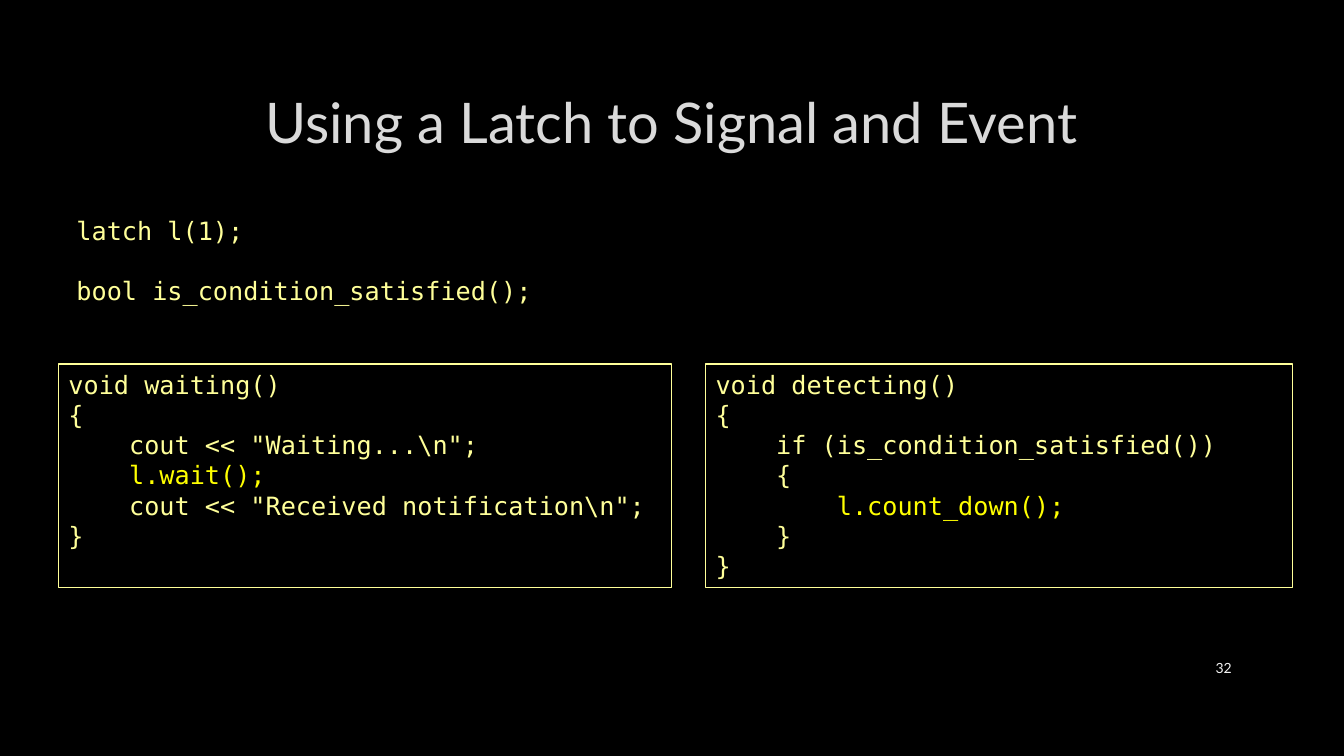
from dataclasses import dataclass

from pptx import Presentation
from pptx.dml.color import RGBColor
from pptx.enum.shapes import MSO_SHAPE as Shape
from pptx.enum.text import MSO_ANCHOR as Anchor, MSO_AUTO_SIZE as AutoSize, PP_ALIGN as Align
from pptx.shapes.base import BaseShape
from pptx.slide import Slide
from pptx.text.text import Font, TextFrame
from pptx.util import Pt


@dataclass(frozen=True)
class Theme:
    background: RGBColor = RGBColor(0x00, 0x00, 0x00)
    title: RGBColor = RGBColor(0xDA, 0xDA, 0xDA)
    number: RGBColor = RGBColor(0xF2, 0xF2, 0xF2)
    code: RGBColor = RGBColor(0xFF, 0xFF, 0x99)
    highlight: RGBColor = RGBColor(0xFF, 0xFF, 0x00)
    text_font: str = "Lato"
    code_font: str = "DejaVu Sans Mono"
    title_size: float = 40
    code_size: float = 18
    number_size: float = 10
    border: float = 0.75


@dataclass(frozen=True)
class Frame:
    left: float
    top: float
    width: float
    height: float

    def lengths(self) -> tuple[Pt, Pt, Pt, Pt]:
        return Pt(self.left), Pt(self.top), Pt(self.width), Pt(self.height)


@dataclass(frozen=True)
class CodePanel:
    frame: Frame
    code: str
    highlight: str


THEME = Theme()
PANEL_TOP, PANEL_HEIGHT = 260, 159.5

TITLE_FRAME = Frame(72, 48.2, 815, 76.3)
DECLARATION_FRAME = Frame(47.5, 150, 456, 72.7)
NUMBER_FRAME = Frame(828, 463, 59, 28.8)
DECLARATIONS = ("latch l(1);", "bool is_condition_satisfied();")
DECLARATION_GAP = 21.5

PANELS = (
    CodePanel(
        Frame(504, PANEL_TOP, 419, PANEL_HEIGHT),
        r"""void detecting()
{
    if (is_condition_satisfied())
    {
        l.count_down();
    }
}""",
        "l.count_down();",
    ),
    CodePanel(
        Frame(41.8, PANEL_TOP, 438, PANEL_HEIGHT),
        r"""void waiting()
{
    cout << "Waiting...\n";
    l.wait();
    cout << "Received notification\n";
}""",
        "l.wait();",
    ),
)


def style_font(font: Font, name: str, size: float, color: RGBColor) -> None:
    font.name = name
    font.size = Pt(size)
    font.color.rgb = color


def write_line(shape: BaseShape, text: str, size: float, color: RGBColor, align: Align) -> None:
    """Fill a shape with one line of centred-height display text."""
    frame = shape.text_frame
    frame.word_wrap = True
    frame.auto_size = AutoSize.NONE
    frame.vertical_anchor = Anchor.MIDDLE
    para = frame.paragraphs[0]
    para.text = text
    para.alignment = align
    style_font(para.font, THEME.text_font, size, color)


def write_code(frame: TextFrame, lines: list[str], highlight: str = "", gap: float = 0) -> None:
    frame.word_wrap = True
    frame.vertical_anchor = Anchor.TOP
    for index, line in enumerate(lines):
        para = frame.add_paragraph() if index else frame.paragraphs[0]
        para.alignment = Align.LEFT
        if index and gap:
            para.space_before = Pt(gap)
        style_font(para.font, THEME.code_font, THEME.code_size, THEME.code)
        if highlight and line.endswith(highlight):
            para.add_run().text = line.removesuffix(highlight)
            span = para.add_run()
            span.text = highlight
            span.font.color.rgb = THEME.highlight
        else:
            para.add_run().text = line


def add_code_panel(page: Slide, panel: CodePanel) -> None:
    box = page.shapes.add_shape(Shape.RECTANGLE, *panel.frame.lengths())
    box.shadow.inherit = False
    box.fill.background()
    box.line.color.rgb = THEME.code
    box.line.width = Pt(THEME.border)
    write_code(box.text_frame, panel.code.splitlines(), panel.highlight)


def main() -> None:
    deck = Presentation()
    deck.slide_width, deck.slide_height = Pt(960), Pt(540)
    page = deck.slides.add_slide(deck.slide_layouts.get_by_name("Title Only"))
    page.background.fill.solid()
    page.background.fill.fore_color.rgb = THEME.background

    title = page.shapes.title
    title.left, title.top, title.width, title.height = TITLE_FRAME.lengths()
    write_line(title, "Using a Latch to Signal and Event", THEME.title_size, THEME.title, Align.CENTER)

    declarations = page.shapes.add_textbox(*DECLARATION_FRAME.lengths())
    write_code(declarations.text_frame, list(DECLARATIONS), gap=DECLARATION_GAP)

    number = page.shapes.add_textbox(*NUMBER_FRAME.lengths())
    write_line(number, "32", THEME.number_size, THEME.number, Align.RIGHT)

    for panel in PANELS:
        add_code_panel(page, panel)
    deck.save("out.pptx")


if __name__ == "__main__":
    main()
